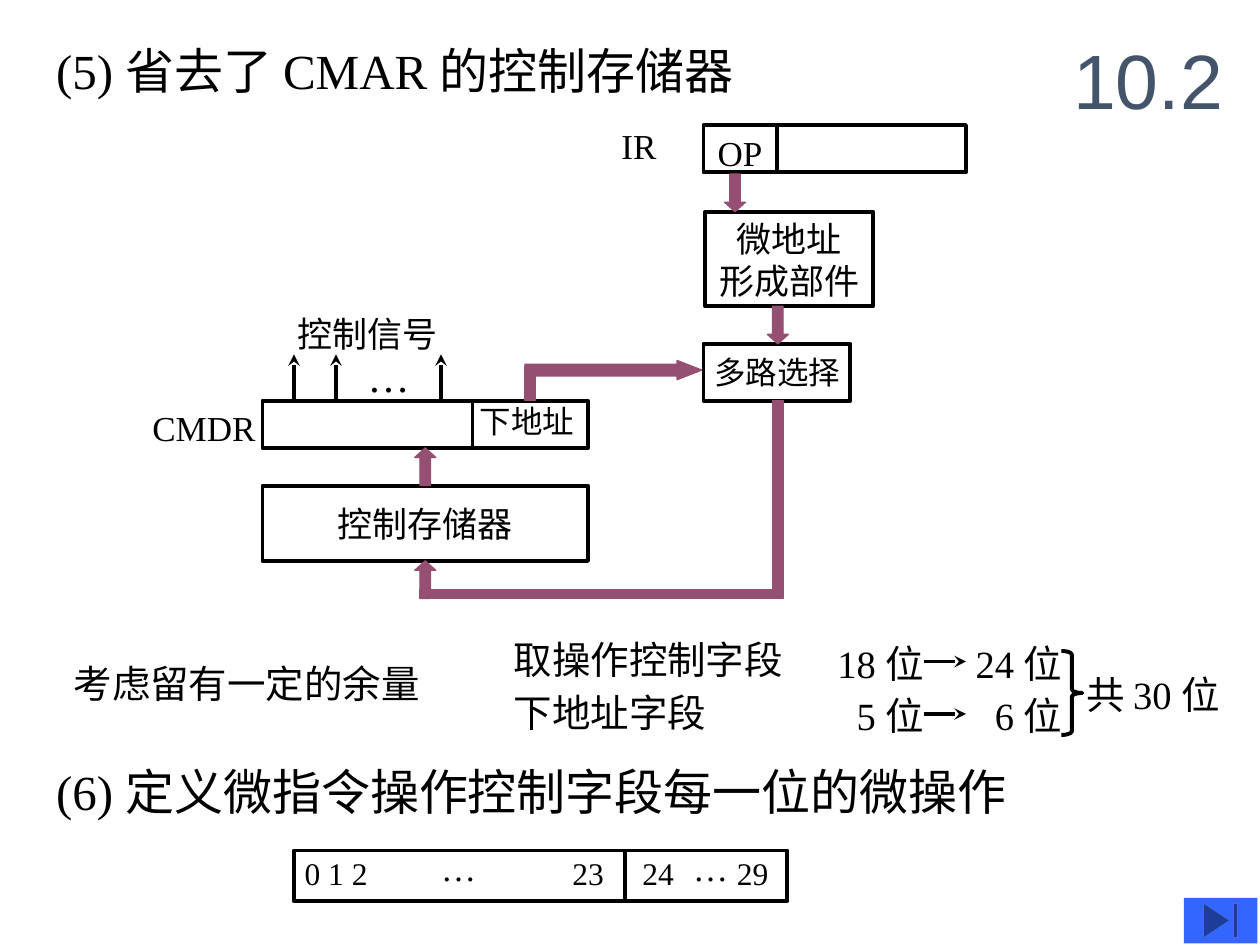
import pptx
import pptx.util
import pptx.dml.color
import pptx.enum.shapes
import pptx.enum.text
import pptx.oxml.ns
from lxml import etree

Pt = pptx.util.Pt
SHAPE = pptx.enum.shapes.MSO_SHAPE
ALIGN = pptx.enum.text.PP_ALIGN
ANCHOR = pptx.enum.text.MSO_ANCHOR
COLORS = {"ink": "000000", "bus": "954F72", "heading": "44546A", "button": "3366FF"}
SERIF = "Times New Roman"
LINE_WIDTH = 2.25


def color(name):
    return pptx.dml.color.RGBColor.from_string(COLORS[name])


def write(frame, text, size, align=ALIGN.LEFT, anchor=ANCHOR.TOP, font=SERIF, ink="ink"):
    frame.word_wrap = True
    frame.auto_size = pptx.enum.text.MSO_AUTO_SIZE.NONE
    frame.vertical_anchor = anchor
    frame.text = text
    for paragraph in frame.paragraphs:
        paragraph.alignment = align
        paragraph.font.name = font
        paragraph.font.size = Pt(size)
        paragraph.font.color.rgb = color(ink)


def add_label(slide, text, x, y, width, size, align=ALIGN.LEFT):
    label = slide.shapes.add_textbox(Pt(x), Pt(y), Pt(width), Pt(size * 1.2 + 7.2))
    write(label.text_frame, text, size, align)


def add_block(slide, x, y, width, height, text="", size=20):
    block = slide.shapes.add_shape(SHAPE.RECTANGLE, Pt(x), Pt(y), Pt(width), Pt(height))
    block.shadow.inherit = False
    block.fill.background()
    block.line.color.rgb = color("ink")
    block.line.width = Pt(LINE_WIDTH)
    if text:
        frame = block.text_frame
        frame.margin_left = frame.margin_right = frame.margin_top = frame.margin_bottom = 0
        write(frame, text, size, ALIGN.CENTER, ANCHOR.MIDDLE)


def add_bus(slide, kind, x, y, width, height, adjustments=()):
    bus = slide.shapes.add_shape(kind, Pt(x), Pt(y), Pt(width), Pt(height))
    for index, value in enumerate(adjustments):
        bus.adjustments[index] = value
    bus.shadow.inherit = False
    bus.fill.solid()
    bus.fill.fore_color.rgb = color("bus")
    bus.line.color.rgb = color("bus")
    bus.line.width = Pt(0.75)


def add_line(slide, x1, y1, x2, y2, arrow=False):
    line = slide.shapes.add_connector(
        pptx.enum.shapes.MSO_CONNECTOR.STRAIGHT, Pt(x1), Pt(y1), Pt(x2), Pt(y2))
    line.line.color.rgb = color("ink")
    line.line.width = Pt(LINE_WIDTH)
    if arrow:
        etree.SubElement(line.line._get_or_add_ln(), pptx.oxml.ns.qn("a:tailEnd"), type="stealth")
    etree.SubElement(line._element.spPr, pptx.oxml.ns.qn("a:effectLst"))


def place_title(slide, x, y, width, height):
    title = slide.shapes.title
    title.left, title.top, title.width, title.height = Pt(x), Pt(y), Pt(width), Pt(height)
    write(title.text_frame, "10.2", 44, anchor=ANCHOR.MIDDLE, font="Arial", ink="heading")


def draw_datapath(slide, x, y):
    add_label(slide, "IR", x + 268, y, 40, 20)
    add_block(slide, x + 322, y + 4, 150, 27)
    add_line(slide, x + 364, y + 4, x + 364, y + 31)
    add_label(slide, "OP", x + 323, y + 4, 45, 20)
    add_block(slide, x + 323, y + 53.5, 96, 54, "微地址\n形成部件")
    add_block(slide, x + 322, y + 129, 84, 32.5, "多路选择", 18)

    add_label(slide, "控制信号", x + 83, y + 107.5, 105, 20)
    for signal_x in (88, 112, 172):
        add_line(slide, x + signal_x, y + 161.5, x + signal_x, y + 135, arrow=True)
    add_label(slide, "…", x + 123, y + 129, 45, 24)
    add_label(slide, "CMDR", x, y + 161.5, 80, 20)
    add_block(slide, x + 70, y + 161.5, 186, 27)
    add_line(slide, x + 190, y + 161.5, x + 190, y + 188.5)
    add_label(slide, "下地址", x + 187, y + 158.5, 75, 18)
    add_block(slide, x + 70, y + 210, 186, 43, "控制存储器")

    for arrow_y in (188.5, 253):
        add_bus(slide, SHAPE.UP_ARROW, x + 157, y + arrow_y, 12, 21.5, (0.5, 0.45))
    for arrow_x, arrow_y in ((334, 32), (358.5, 107.5)):
        add_bus(slide, SHAPE.DOWN_ARROW, x + arrow_x, y + arrow_y, 12, 21.5, (0.5, 0.45))
    add_bus(slide, SHAPE.RIGHT_ARROW, x + 220, y + 138.5, 101, 11, (0.61, 1.28))
    add_bus(slide, SHAPE.RECTANGLE, x + 220, y + 142, 6, 19.5)
    add_bus(slide, SHAPE.RECTANGLE, x + 361.5, y + 161.5, 6, 113)
    add_bus(slide, SHAPE.RECTANGLE, x + 160, y + 269.5, 204, 5)


def draw_field_widths(slide, x, y):
    add_label(slide, "考虑留有一定的余量", x, y + 13.5, 264, 22)
    rows = (("取操作控制字段", "18 位", "24 位"), ("下地址字段", "5 位", "6 位"))
    for index, (field, needed, reserved) in enumerate(rows):
        row_y = y + 30 * index
        add_label(slide, field, x + 251.5, row_y, 180, 22)
        add_label(slide, needed, x + 420, row_y + 2, 80, 22, ALIGN.RIGHT)
        add_line(slide, x + 493, row_y + 18, x + 517, row_y + 18, arrow=True)
        add_label(slide, reserved, x + 499, row_y + 2, 80, 22, ALIGN.RIGHT)
    brace = slide.shapes.add_shape(
        SHAPE.RIGHT_BRACE, Pt(x + 571.5), Pt(y + 12), Pt(12), Pt(48))
    brace.adjustments[0] = 0.17
    brace.shadow.inherit = False
    brace.fill.background()
    brace.line.color.rgb = color("ink")
    brace.line.width = Pt(LINE_WIDTH)
    add_label(slide, "共 30 位", x + 578.5, y + 20, 106, 22)


def draw_microinstruction(slide, x, y):
    add_block(slide, x, y, 282, 29)
    add_line(slide, x + 189, y, x + 189, y + 29)
    for text, offset, width in (("0 1 2", -1, 60), ("23", 152, 40), ("24", 192, 40), ("29", 246, 40)):
        add_label(slide, text, x + offset, y - 1.5, width, 18)
    for offset in (77, 221):
        add_label(slide, "…", x + offset, y - 6, 40, 20)


def draw_next_button(slide, x, y, width, height):
    button = slide.shapes.add_shape(
        SHAPE.ACTION_BUTTON_END, Pt(x), Pt(y), Pt(width), Pt(height))
    button.shadow.inherit = False
    button.fill.solid()
    button.fill.fore_color.rgb = color("button")
    button.line.fill.background()


def main():
    deck = pptx.Presentation()
    deck.slide_width, deck.slide_height = Pt(720), Pt(540)
    slide = deck.slides.add_slide(deck.slide_layouts[5])
    place_title(slide, 606, 12, 114, 66)
    add_label(slide, "(5) 省去了 CMAR 的控制存储器", 25, 19.5, 479, 28)
    draw_datapath(slide, 80, 67.5)
    draw_field_widths(slide, 35, 360)
    add_label(slide, "(6) 定义微指令操作控制字段每一位的微操作", 25, 431.5, 611, 28)
    draw_microinstruction(slide, 168, 486)
    draw_next_button(slide, 676.5, 513, 42, 26)
    deck.save("out.pptx")


if __name__ == "__main__":
    main()
